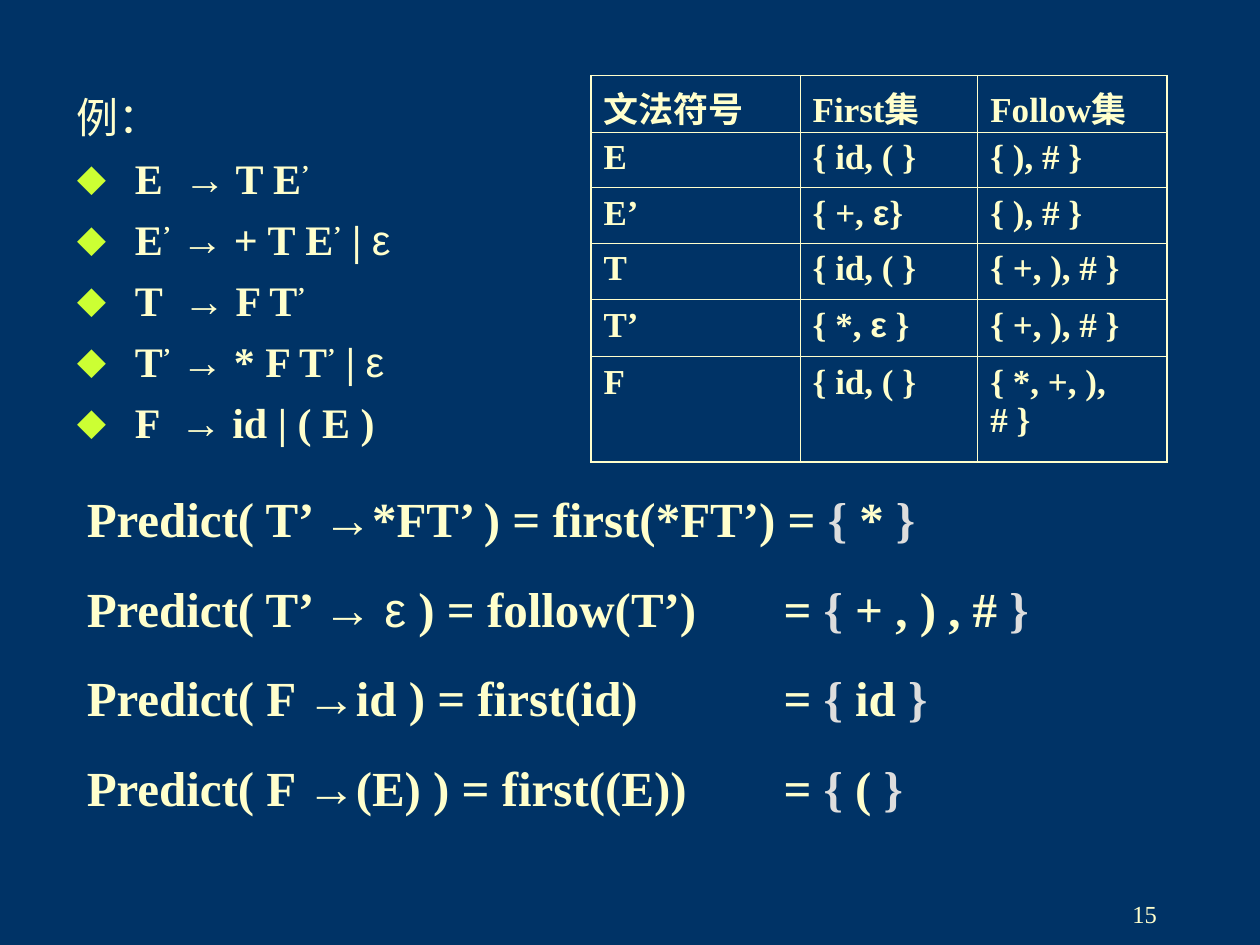
import itertools

import pptx
import pptx.dml.color
import pptx.enum.text
import pptx.oxml
import pptx.oxml.ns
import pptx.util

Inches, Pt = pptx.util.Inches, pptx.util.Pt
ALIGN, ANCHOR = pptx.enum.text.PP_ALIGN, pptx.enum.text.MSO_ANCHOR

# Content
HEADING = "例："
GRAMMAR = ["E → T E’", "E’ → + T E’ | ε", "T → F T’", "T’ → * F T’ | ε", "F → id | ( E )"]
SETS = [
    ("文法符号", "First集", "Follow集"),
    ("E", "{ id, ( }", "{ ), # }"),
    ("E’", "{ +, ε}", "{ ), # }"),
    ("T", "{ id, ( }", "{ +, ), # }"),
    ("T’", "{ *, ε }", "{ +, ), # }"),
    ("F", "{ id, ( }", "{ *, +, ), # }"),
]
PREDICTIONS = [
    "Predict( T’ →*FT’ ) = first(*FT’) = { * }",
    "Predict( T’ → ε ) = follow(T’)\t= { + , ) , # }",
    "Predict( F →id ) = first(id)\t= { id }",
    "Predict( F →(E) ) = first((E))\t= { ( }",
]
PAGE_NUMBER = "15"

# Look and layout, in inches
COLORS = {"background": "003366", "text": "FFFFCC", "bullet": "CCFF33", "brace": "DDDDDD"}
SERIF, SANS = "Times New Roman", "Arial"
GRAMMAR_BOX = (0.51, 0.68, 3.23, 3.15)
TABLE_BOX = (4.69, 0.6, 4.57, 3.07)
PREDICT_BOX = (0.59, 3.83, 8.25, 2.7)
NUMBER_BOX = (7.2, 7, 2.08, 0.5)
COLUMNS = (1.66, 1.41, 1.5)
ROWS = (0.45, 0.44, 0.44, 0.45, 0.45, 0.84)
BULLET_INDENT = 0.46
EQUALS_TAB = 5.53
OUTER, INNER = 1.08, 0.45  # border widths in points


def place(box):
    return [Inches(length) for length in box]


def xml(markup):
    namespace = pptx.oxml.ns.nsdecls("a")
    return pptx.oxml.parse_xml(markup.replace(">", f" {namespace}>", 1))


def write(paragraph, text, size, bold=True, plain="", raised="", gray=""):
    """Add runs, splitting the text where the style of its characters changes."""
    def style(character):
        return (SANS if character in "→ε" else SERIF,
                bold and character not in plain,
                character in raised,
                "brace" if character in gray else "text")

    for (font, heavy, raise_it, color), characters in itertools.groupby(text, style):
        run = paragraph.add_run()
        run.text = "".join(characters)
        run.font.name, run.font.size, run.font.bold = font, Pt(size), heavy
        run.font.color.rgb = pptx.dml.color.RGBColor.from_string(COLORS[color])
        if raise_it:
            run.font._element.set("baseline", "30000")


def add_paragraph(frame, index, space):
    paragraph = frame.add_paragraph() if index else frame.paragraphs[0]
    paragraph.space_before = Pt(space if index else 0)
    return paragraph


def add_text_box(slide, box):
    frame = slide.shapes.add_textbox(*place(box)).text_frame
    frame.word_wrap = True
    return frame


def add_grammar(slide):
    body = slide.placeholders[1]
    body.left, body.top, body.width, body.height = place(GRAMMAR_BOX)
    frame = body.text_frame
    frame.auto_size = pptx.enum.text.MSO_AUTO_SIZE.NONE
    frame.vertical_anchor = ANCHOR.TOP
    for index, line in enumerate([HEADING] + GRAMMAR):
        paragraph = add_paragraph(frame, index, 6)
        properties = paragraph._p.get_or_add_pPr()
        indent = Inches(BULLET_INDENT) if index else 0
        properties.set("marL", str(indent))
        properties.set("indent", str(-indent))
        if index:
            properties.append(xml(f'<a:buClr><a:srgbClr val="{COLORS["bullet"]}"/></a:buClr>'))
            properties.append(xml('<a:buChar char="⬥"></a:buChar>'))
        else:
            properties.append(xml("<a:buNone></a:buNone>"))
        write(paragraph, line, 24, bold=index > 0, plain="ε", raised="’")
        # Widen the gap after a symbol without a prime
        if index and line[1] == " ":
            paragraph.runs[0].font._element.set("spc", "300")


def set_borders(cell, row, column):
    properties = cell._tc.get_or_add_tcPr()
    outside = {"L": column == 0, "R": column == len(COLUMNS) - 1,
               "T": row == 0, "B": row == len(ROWS) - 1}
    for side, is_outer in outside.items():
        width = Pt(OUTER if is_outer else INNER)
        properties.append(xml(
            f'<a:ln{side} w="{width}"><a:solidFill><a:srgbClr val="{COLORS["text"]}"/>'
            f"</a:solidFill></a:ln{side}>"))


def add_sets_table(slide):
    table = slide.shapes.add_table(len(ROWS), len(COLUMNS), *place(TABLE_BOX)).table
    table.first_row = table.horz_banding = False
    for column, width in zip(table.columns, COLUMNS):
        column.width = Inches(width)
    for row, height in zip(table.rows, ROWS):
        row.height = Inches(height)
    for row, texts in enumerate(SETS):
        for column, text in enumerate(texts):
            cell = table.cell(row, column)
            set_borders(cell, row, column)
            cell.fill.background()
            write(cell.text_frame.paragraphs[0], text, 20)


def add_predictions(slide):
    frame = add_text_box(slide, PREDICT_BOX)
    for index, line in enumerate(PREDICTIONS):
        paragraph = add_paragraph(frame, index, 17.5)
        paragraph._p.get_or_add_pPr().append(xml(
            f'<a:tabLst><a:tab pos="{Inches(EQUALS_TAB)}" algn="l"/></a:tabLst>'))
        write(paragraph, line, 28, plain="ε", gray="{}")


def add_page_number(slide):
    frame = add_text_box(slide, NUMBER_BOX)
    frame.vertical_anchor = ANCHOR.MIDDLE
    frame.paragraphs[0].alignment = ALIGN.RIGHT
    write(frame.paragraphs[0], PAGE_NUMBER, 14, bold=False)


def main():
    presentation = pptx.Presentation()
    presentation.slide_width, presentation.slide_height = Inches(10), Inches(7.5)
    slide = presentation.slides.add_slide(presentation.slide_layouts[1])
    title = slide.shapes.title._element
    title.getparent().remove(title)
    fill = slide.background.fill
    fill.solid()
    fill.fore_color.rgb = pptx.dml.color.RGBColor.from_string(COLORS["background"])

    add_page_number(slide)
    add_grammar(slide)
    add_sets_table(slide)
    add_predictions(slide)
    presentation.save("out.pptx")


if __name__ == "__main__":
    main()
